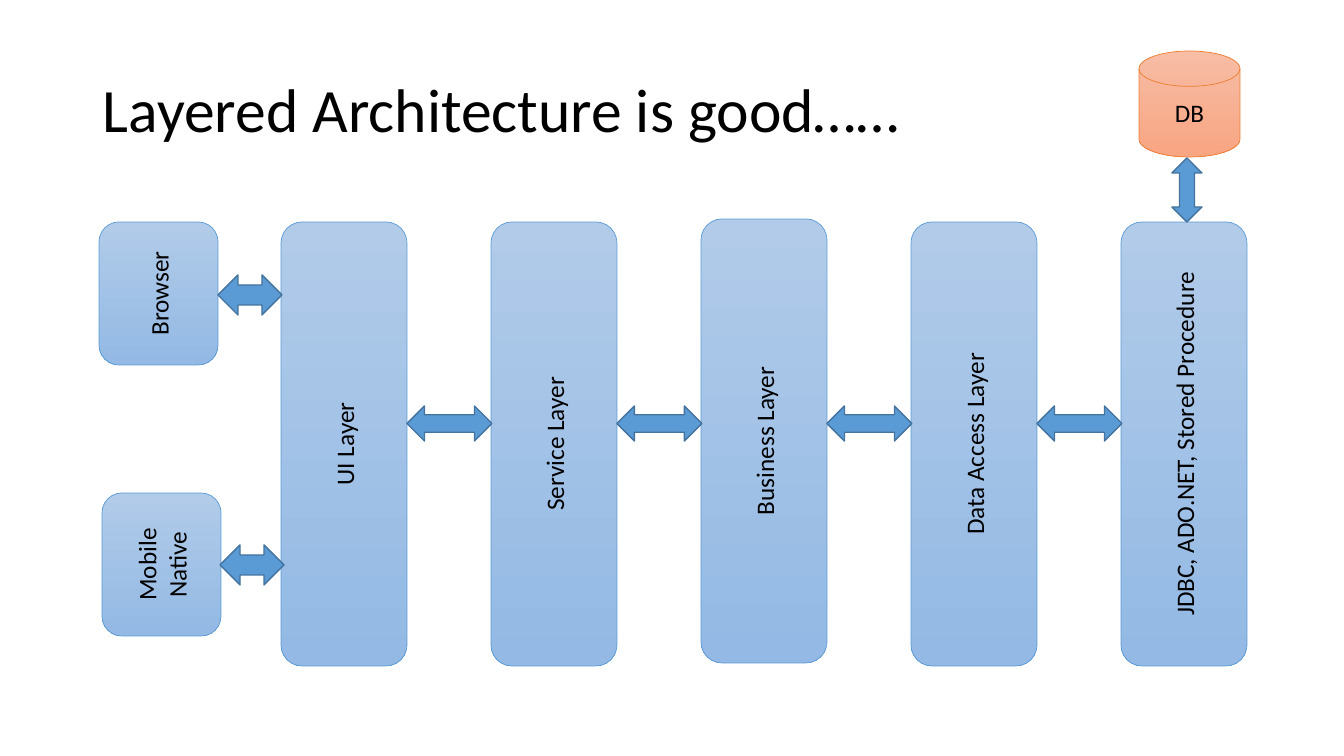
from pptx import Presentation
from pptx.dml.color import RGBColor
from pptx.enum.shapes import MSO_SHAPE as SHAPE
from pptx.enum.text import MSO_ANCHOR as ANCHOR, PP_ALIGN as ALIGN
from pptx.util import Pt

PX = 914400 / 100.8
BLUE = ("B1CBE9", "93B9E4", "5B9BD5")
ORANGE = ("F7BDA5", "F8A582", "ED7D31")


def rgb(value):
    return RGBColor.from_string(value)


def add_node(kind, box, colors=None, text=""):
    sp = slide.shapes.add_shape(kind, *[round(v * PX) for v in box])
    sp.shadow.inherit = False
    if colors is None:
        sp.fill.solid()
        sp.fill.fore_color.rgb = rgb("5B9BD5")
        sp.line.color.rgb = rgb("43739E")
        sp.line.width = Pt(1)
        return sp
    sp.fill.gradient()
    sp.fill.gradient_angle = 270
    for stop, color in zip(sp.fill.gradient_stops, colors):
        stop.color.rgb = rgb(color)
    sp.line.color.rgb = rgb(colors[2])
    sp.line.width = Pt(0.5)
    tf = sp.text_frame
    tf.word_wrap = True
    tf.vertical_anchor = ANCHOR.MIDDLE
    if kind == SHAPE.ROUNDED_RECTANGLE:
        tf._txBody.bodyPr.set("vert", "vert270")
    p = tf.paragraphs[0]
    p.text = text
    p.alignment = ALIGN.CENTER
    p.font.name = "Calibri"
    p.font.size = Pt(18)
    p.font.color.rgb = rgb("000000")
    return sp


prs = Presentation()
prs.slide_width = round(1344 * PX)
prs.slide_height = round(756 * PX)
slide = prs.slides.add_slide(prs.slide_layouts[6])

title = slide.shapes.add_textbox(*[round(v * PX) for v in (93, 40, 1159, 146)])
tf = title.text_frame
tf.word_wrap = True
tf.vertical_anchor = ANCHOR.MIDDLE
p = tf.paragraphs[0]
p.text = "Layered Architecture is good……"
p.line_spacing = 0.9
p.font.name = "Calibri"
p.font.size = Pt(44)
p.font.color.rgb = rgb("000000")

layers = [
    ("UI Layer", 222),
    ("Service Layer", 222),
    ("Business Layer", 219),
    ("Data Access Layer", 222),
    ("JDBC, ADO.NET, Stored Procedure", 222),
]
LEFT, WIDTH, PITCH = 281, 126, 210
for i, (name, top) in enumerate(layers):
    add_node(SHAPE.ROUNDED_RECTANGLE, (LEFT + i * PITCH, top, WIDTH, 444), BLUE, name)
for i in range(len(layers) - 1):
    add_node(SHAPE.LEFT_RIGHT_ARROW, (LEFT + WIDTH + i * PITCH, 406, 85, 35))

clients = [("Browser", 99, 222, 218, 275), ("Mobile Native", 102, 493, 220, 545)]
for name, left, top, arrow_left, arrow_top in clients:
    add_node(SHAPE.ROUNDED_RECTANGLE, (left, top, 119, 143), BLUE, name)
    add_node(SHAPE.LEFT_RIGHT_ARROW, (arrow_left, arrow_top, 64, 40))

add_node(SHAPE.FLOWCHART_MAGNETIC_DISK, (1139, 51, 101, 106), ORANGE, "DB")
db_arrow = add_node(SHAPE.LEFT_RIGHT_ARROW, (1155, 175, 64, 30))
db_arrow.rotation = 90

prs.save("out.pptx")
